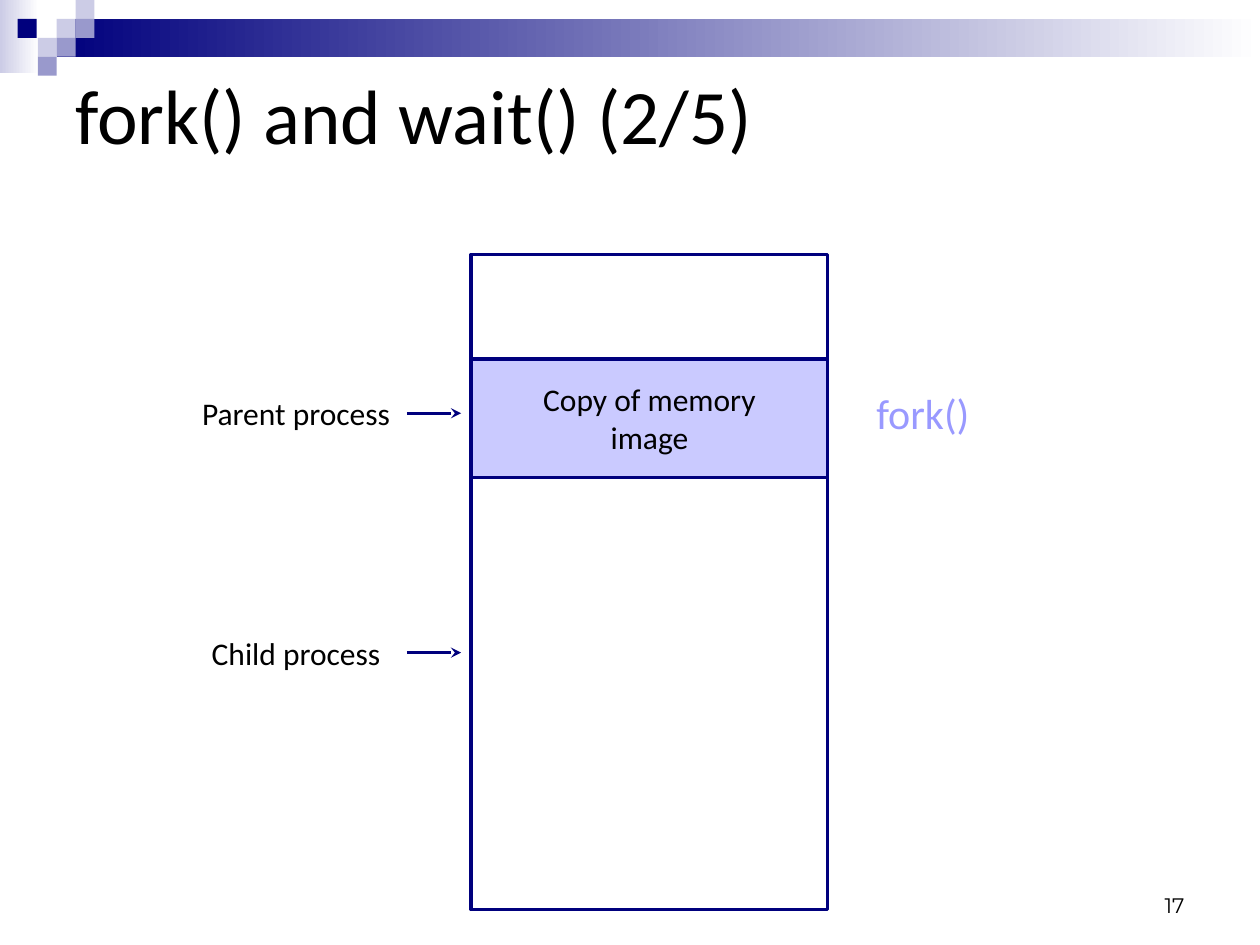
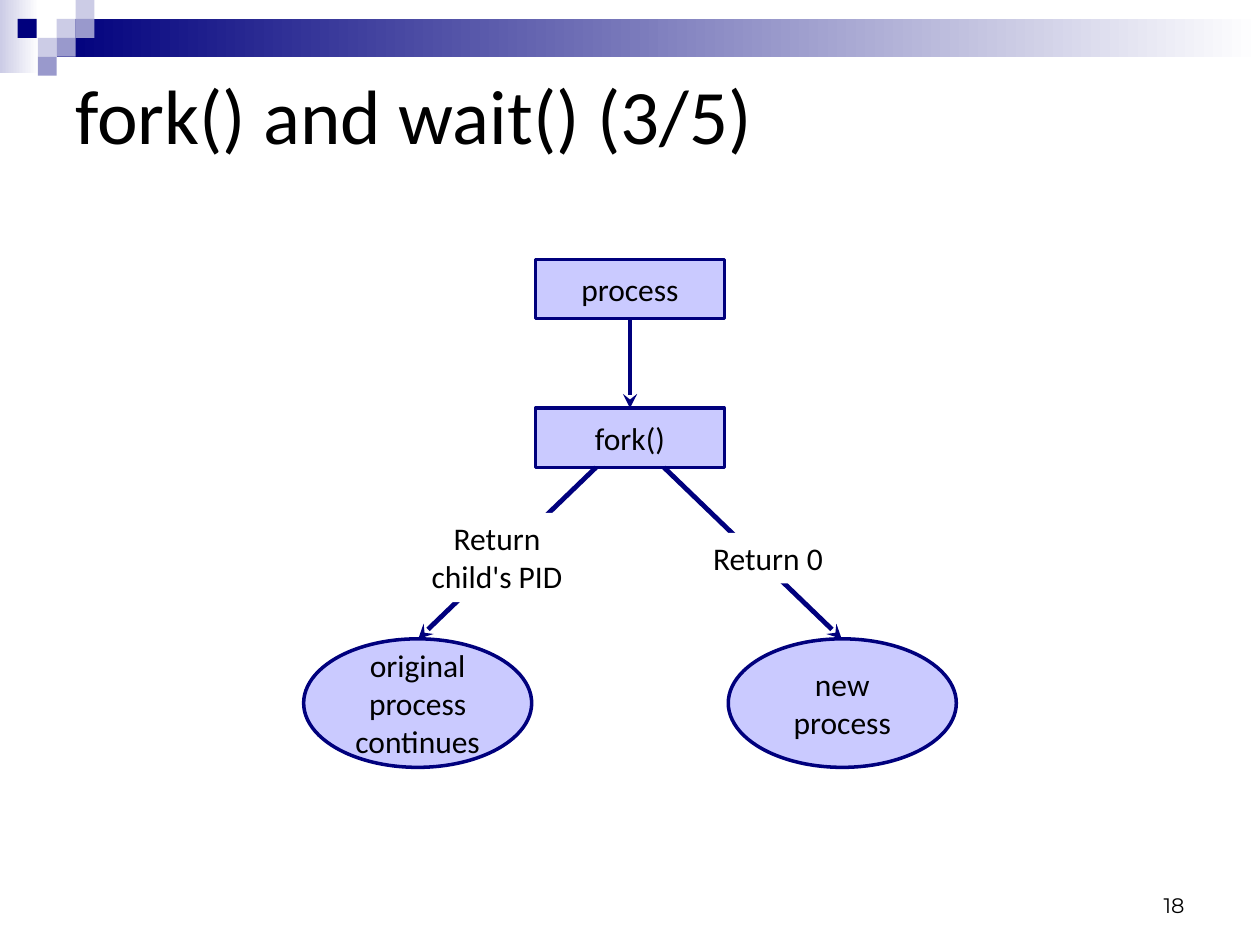
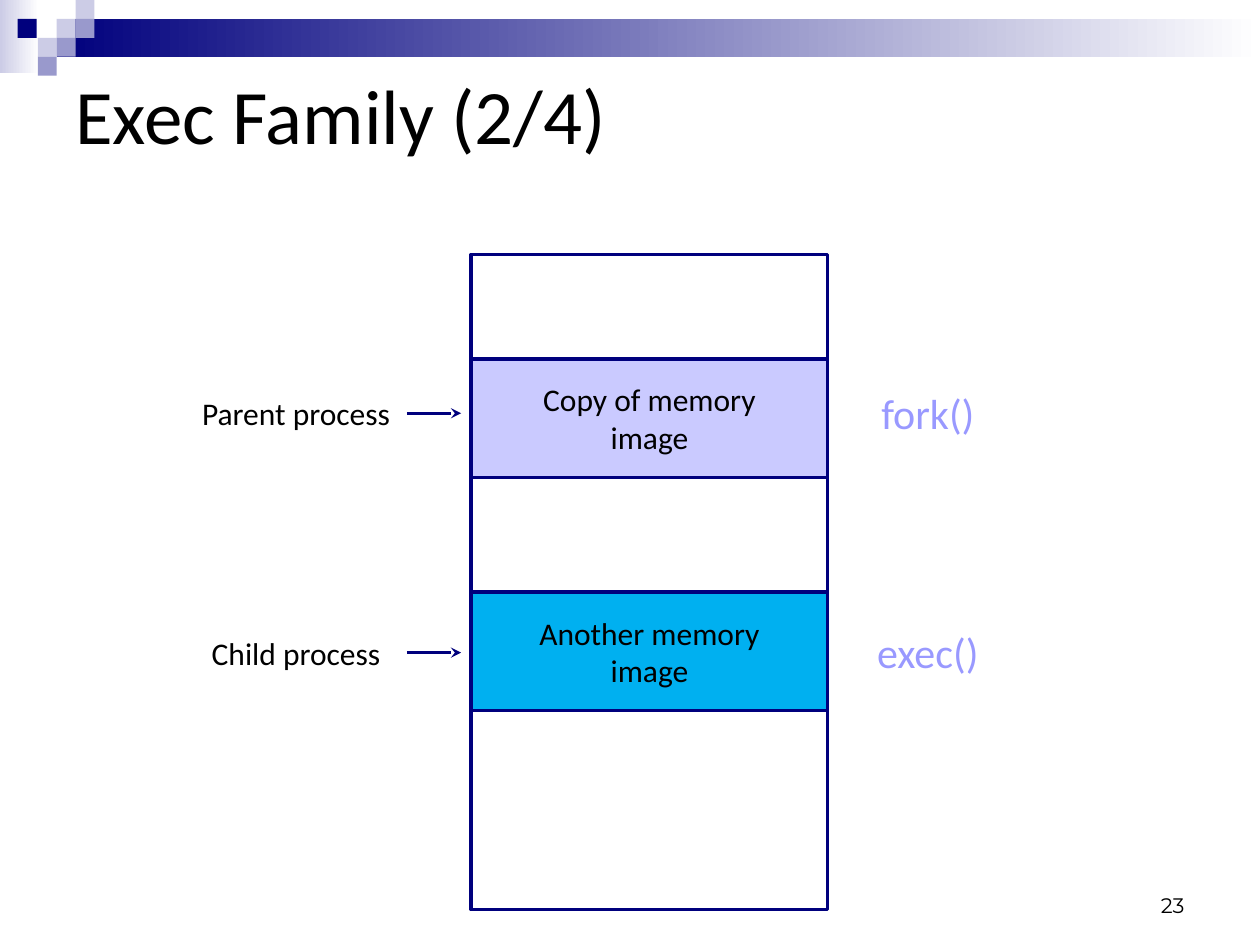
from typing import NamedTuple, Optional

from lxml import etree
from pptx import Presentation
from pptx.dml.color import RGBColor
from pptx.enum.shapes import MSO_CONNECTOR, MSO_SHAPE
from pptx.enum.text import MSO_ANCHOR, PP_ALIGN
from pptx.oxml.ns import qn
from pptx.util import Inches, Pt

RECTANGLE, ELLIPSE = MSO_SHAPE.RECTANGLE, MSO_SHAPE.OVAL
STRAIGHT = MSO_CONNECTOR.STRAIGHT
LEFT, CENTER, RIGHT = PP_ALIGN.LEFT, PP_ALIGN.CENTER, PP_ALIGN.RIGHT
TOP, MIDDLE, BOTTOM = MSO_ANCHOR.TOP, MSO_ANCHOR.MIDDLE, MSO_ANCHOR.BOTTOM

COLORS = {
    "navy": "00007D",
    "mist": "CCCCE6",
    "slate": "9999CC",
    "lavender": "CACAFF",
    "violet": "9999FF",
    "cyan": "00B0F0",
    "white": "FFFFFF",
    "black": "000000",
}
BODY_FONT, NUMBER_FONT = "Calibri", "Montserrat"
TILE = 0.15


class Box(NamedTuple):
    left: float
    top: float
    width: float
    height: float

    def lengths(self) -> list:
        return [Inches(value) for value in self]


class Call(NamedTuple):
    text: str
    box: Box


class Node(NamedTuple):
    text: str
    kind: MSO_SHAPE
    box: Box


class Branch(NamedTuple):
    start: tuple
    end: tuple
    text: str
    label: Optional[Box]


# Header tiles: left, top, colour
TILES = [
    (0.45, 0.15, "mist"),
    (0.6, 0, "mist"),
    (0.6, 0.15, "slate"),
    (0.3, 0.3, "mist"),
    (0.14, 0.15, "navy"),
    (0.45, 0.3, "slate"),
    (0.3, 0.45, "slate"),
]

# Memory column
MEMORY = Box(3.74, 2.02, 2.83, 5.2)
PARENT_IMAGE = Box(3.74, 2.85, 2.83, 0.94)
CHILD_IMAGE = Box(3.74, 4.7, 2.83, 0.94)
PROCESSES = [("Parent process", 3.28), ("Child process", 5.18)]

# Process tree
NODES = [
    Node("process", RECTANGLE, Box(4.25, 2.06, 1.5, 0.47)),
    Node("fork()", RECTANGLE, Box(4.25, 3.24, 1.5, 0.47)),
    Node("original\nprocess\ncontinues", ELLIPSE, Box(2.41, 5.07, 1.81, 1.02)),
    Node("new\nprocess", ELLIPSE, Box(5.78, 5.07, 1.81, 1.02)),
]
BRANCHES = [
    Branch((5, 2.53), (5, 3.24), "", None),
    Branch((4.73, 3.71), (3.32, 5.07), "Return child's PID", Box(3.16, 4.07, 1.57, 0.71)),
    Branch((5.27, 3.71), (6.68, 5.07), "Return 0", Box(5.51, 4.23, 1.17, 0.4)),
]


def rgb(name: str) -> RGBColor:
    return RGBColor.from_string(COLORS[name])


def write(shape, text: str, *, size: float = 18, font: str = BODY_FONT,
          color: str = "black", align=CENTER, anchor=MIDDLE, wrap: bool = True) -> None:
    """Fill a shape with text, one paragraph per line."""
    frame = shape.text_frame
    frame.text = text
    frame.word_wrap = wrap
    frame.vertical_anchor = anchor
    for paragraph in frame.paragraphs:
        paragraph.alignment = align
        for run in paragraph.runs:
            run.font.size = Pt(size)
            run.font.name = font
            run.font.color.rgb = rgb(color)


def add_text(slide, box: Box, text: str, **style) -> None:
    write(slide.shapes.add_textbox(*box.lengths()), text, **style)


def add_block(slide, box: Box, fill: Optional[str] = None, *, kind=RECTANGLE,
              line: Optional[str] = None, fade: bool = False):
    """Draw a shape; fade runs its fill from left to white."""
    shape = slide.shapes.add_shape(kind, *box.lengths())
    shape.shadow.inherit = False
    if fill is None:
        shape.fill.background()
    elif fade:
        shape.fill.gradient()
        shape.fill.gradient_angle = 0
        for stop, color in zip(shape.fill.gradient_stops, (fill, "white")):
            stop.color.rgb = rgb(color)
    else:
        shape.fill.solid()
        shape.fill.fore_color.rgb = rgb(fill)
    if line is None:
        shape.line.fill.background()
    else:
        shape.line.color.rgb = rgb(line)
        shape.line.width = Pt(2)
    return shape


def add_arrow(slide, start: tuple, end: tuple, width: float) -> None:
    ends = [Inches(value) for value in (*start, *end)]
    connector = slide.shapes.add_connector(STRAIGHT, *ends)
    connector.line.color.rgb = rgb("navy")
    connector.line.width = Pt(width)
    properties = connector._element.spPr
    etree.SubElement(properties.find(qn("a:ln")), qn("a:tailEnd"), type="stealth")
    etree.SubElement(properties, qn("a:effectLst"))


def add_base_slide(presentation, title: str, number: int):
    """Start a slide with the shared header, title and number."""
    slide = presentation.slides.add_slide(presentation.slide_layouts[6])
    add_block(slide, Box(0, 0, 0.31, 0.58), "mist", fade=True)
    add_block(slide, Box(0.45, 0.15, 9.55, 0.3), "navy", fade=True)
    for left, top, color in TILES:
        add_block(slide, Box(left, top, TILE, TILE), color)
    add_text(slide, Box(0.5, 0.5, 9, 0.81), title, size=44, align=LEFT)
    add_text(slide, Box(7.17, 6.83, 2.33, 0.5), str(number), size=12,
             font=NUMBER_FONT, align=RIGHT, anchor=BOTTOM)
    return slide


def add_image(slide, box: Box, text: str, fill: str) -> None:
    write(add_block(slide, box, fill, line="navy"), text)


def add_memory_slide(presentation, title: str, number: int, calls: list):
    slide = add_base_slide(presentation, title, number)
    add_image(slide, PARENT_IMAGE, "Copy of memory\nimage", "lavender")
    add_block(slide, MEMORY, line="navy")
    for name, middle in PROCESSES:
        add_text(slide, Box(1.46, middle - 0.2, 1.78, 0.4), name, anchor=TOP, wrap=False)
        add_arrow(slide, (3.23, middle), (3.66, middle), 1.5)
    for call in calls:
        add_text(slide, call.box, call.text, size=24, color="violet", anchor=TOP, wrap=False)
    return slide


def add_tree_slide(presentation, title: str, number: int) -> None:
    slide = add_base_slide(presentation, title, number)
    for node in NODES:
        write(add_block(slide, node.box, "lavender", kind=node.kind, line="navy"), node.text)
    for branch in BRANCHES:
        add_arrow(slide, branch.start, branch.end, 2.75)
        if branch.label:
            write(add_block(slide, branch.label, "white"), branch.text, anchor=TOP)


def main() -> None:
    presentation = Presentation()
    presentation.slide_width = Inches(10)
    presentation.slide_height = Inches(7.5)

    add_memory_slide(presentation, "fork() and wait() (2/5)", 17,
                     [Call("fork()", Box(6.85, 3.03, 0.95, 0.5))])
    add_tree_slide(presentation, "fork() and wait() (3/5)", 18)
    exec_slide = add_memory_slide(presentation, "Exec Family (2/4)", 23, [
        Call("fork()", Box(6.85, 3.03, 1.03, 0.5)),
        Call("exec()", Box(6.85, 4.92, 1.03, 0.5)),
    ])
    add_image(exec_slide, CHILD_IMAGE, "Another memory\nimage", "cyan")

    presentation.save("out.pptx")


if __name__ == "__main__":
    main()
